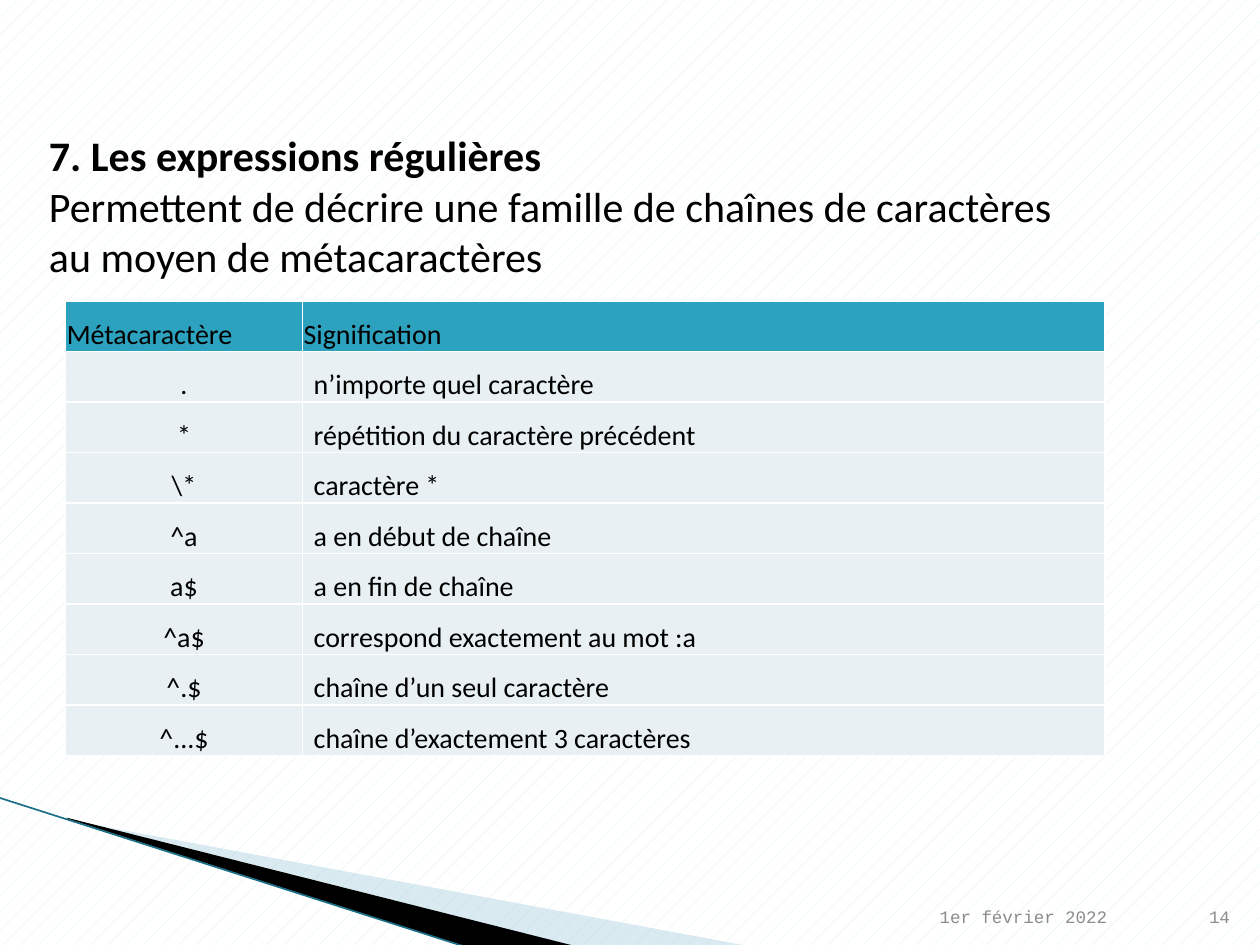
from typing import NamedTuple

from lxml import etree
from pptx import Presentation
from pptx.dml.color import RGBColor
from pptx.enum.dml import MSO_PATTERN
from pptx.enum.shapes import MSO_CONNECTOR
from pptx.enum.text import MSO_ANCHOR, PP_ALIGN
from pptx.oxml.ns import qn
from pptx.util import Inches, Pt

BLACK = RGBColor(0x00, 0x00, 0x00)
WHITE = RGBColor(0xFF, 0xFF, 0xFF)
GREY = RGBColor(0x8C, 0x8C, 0x8C)
TEAL = RGBColor(0x2D, 0xA2, 0xBF)
DARK_TEAL = RGBColor(0x1B, 0x6F, 0x86)
PALE_BLUE = RGBColor(0xA0, 0xCB, 0xDC)
ROW_BLUE = RGBColor(0xE8, 0xF0, 0xF4)
HATCH_BLUE = RGBColor(0xD3, 0xEE, 0xF5)

LEFT, CENTER, RIGHT = PP_ALIGN.LEFT, PP_ALIGN.CENTER, PP_ALIGN.RIGHT
TOP, BOTTOM = MSO_ANCHOR.TOP, MSO_ANCHOR.BOTTOM
BODY_FONT, FOOTER_FONT = "Calibri", "Courier New"


class Line(NamedTuple):
    text: str
    size: int
    font: str = BODY_FONT
    color: RGBColor = BLACK
    bold: bool = False
    align: PP_ALIGN = LEFT


class TextBox(NamedTuple):
    left: float
    top: float
    width: float
    height: float
    anchor: MSO_ANCHOR
    lines: list[Line]


class Wedge(NamedTuple):
    points: list[tuple[float, float]]
    color: RGBColor
    opacity: int


WEDGES = [
    Wedge([(0.55, 6.51), (5.95, 7.51), (4.56, 7.51), (0.55, 6.5)], PALE_BLUE, 40),
    Wedge([(0.53, 6.49), (4.57, 7.51), (3.72, 7.52), (0.54, 6.5)], BLACK, 100),
]

TEXT_BOXES = [
    TextBox(7.36, 7.01, 2.1, 0.4, BOTTOM,
            [Line("1er février 2022", 10, FOOTER_FONT, GREY)]),
    TextBox(9.46, 7.01, 0.4, 0.4, BOTTOM,
            [Line("14", 10, FOOTER_FONT, GREY, align=RIGHT)]),
    TextBox(0.29, 0.98, 9.41, 1.72, TOP, [
        Line("7. Les expressions régulières", 24, bold=True),
        Line("Permettent de décrire une famille de chaînes de caractères", 24),
        Line("au moyen de métacaractères", 24),
    ]),
]

METACHARACTERS = [
    ("Métacaractère", "Signification"),
    (".", "n’importe quel caractère"),
    ("*", "répétition du caractère précédent"),
    ("\\*", "caractère *"),
    ("^a", "a en début de chaîne"),
    ("a$", "a en fin de chaîne"),
    ("^a$", "correspond exactement au mot :a"),
    ("^.$", "chaîne d’un seul caractère"),
    ("^...$", "chaîne d’exactement 3 caractères"),
]
COLUMN_WIDTHS = (1.88, 6.37)
TABLE_HEIGHT = 3.61


def add_line(p, line: Line) -> None:
    p.alignment = line.align
    r = p.add_run()
    r.text = line.text
    r.font.name = line.font
    r.font.size = Pt(line.size)
    r.font.bold = line.bold
    r.font.color.rgb = line.color


def add_wedge(s, wedge: Wedge) -> None:
    points = [(Inches(x), Inches(y)) for x, y in wedge.points]
    builder = s.shapes.build_freeform(*points[0])
    builder.add_line_segments(points[1:])
    sp = builder.convert_to_shape()
    sp.shadow.inherit = False
    sp.line.fill.background()
    sp.fill.solid()
    sp.fill.fore_color.rgb = wedge.color
    if wedge.opacity < 100:
        color = sp._element.spPr.find(qn("a:solidFill"))[0]
        etree.SubElement(color, qn("a:alpha"), val=str(wedge.opacity * 1000))


def add_edge(s) -> None:
    sp = s.shapes.add_connector(MSO_CONNECTOR.STRAIGHT, Inches(-0.01), Inches(6.33),
                                Inches(3.71), Inches(7.52))
    sp.line.color.rgb = DARK_TEAL
    sp.line.width = Pt(0.95)
    etree.SubElement(sp._element.spPr, qn("a:effectLst"))


def add_text_box(s, box: TextBox) -> None:
    sp = s.shapes.add_textbox(Inches(box.left), Inches(box.top),
                              Inches(box.width), Inches(box.height))
    tf = sp.text_frame
    tf.word_wrap = True
    tf.vertical_anchor = box.anchor
    for i, line in enumerate(box.lines):
        add_line(tf.add_paragraph() if i else tf.paragraphs[0], line)


def add_borders(cell) -> None:
    tcPr = cell._tc.get_or_add_tcPr()
    for i, side in enumerate(("lnL", "lnR", "lnT", "lnB")):
        ln = etree.Element(qn(f"a:{side}"), w=str(Pt(1)))
        fill = etree.SubElement(ln, qn("a:solidFill"))
        etree.SubElement(fill, qn("a:srgbClr"), val=str(WHITE))
        tcPr.insert(i, ln)


def add_metacharacter_table(s) -> None:
    table = s.shapes.add_table(len(METACHARACTERS), len(COLUMN_WIDTHS), Inches(0.52),
                               Inches(2.39), Inches(sum(COLUMN_WIDTHS)),
                               Inches(TABLE_HEIGHT)).table
    for column, width in zip(table.columns, COLUMN_WIDTHS):
        column.width = Inches(width)
    for i, row in enumerate(METACHARACTERS):
        for j, text in enumerate(row):
            cell = table.cell(i, j)
            cell.fill.solid()
            cell.fill.fore_color.rgb = ROW_BLUE if i else TEAL
            cell.vertical_anchor = BOTTOM
            cell.margin_left = Inches(0.09 if i and j else 0.01)
            cell.margin_right = cell.margin_top = Inches(0.01)
            cell.margin_bottom = 0
            align = CENTER if i and j == 0 else LEFT
            add_line(cell.text_frame.paragraphs[0], Line(text, 16, align=align))
            add_borders(cell)


def main() -> None:
    prs = Presentation()
    prs.slide_width, prs.slide_height = Inches(10), Inches(7.5)
    s = prs.slides.add_slide(prs.slide_layouts[6])
    fill = s.background.fill
    fill.patterned()
    fill.pattern = MSO_PATTERN.PERCENT_5
    fill.fore_color.rgb = HATCH_BLUE
    fill.back_color.rgb = WHITE
    for wedge in WEDGES:
        add_wedge(s, wedge)
    add_edge(s)
    for box in TEXT_BOXES:
        add_text_box(s, box)
    add_metacharacter_table(s)
    prs.save("out.pptx")


if __name__ == "__main__":
    main()
